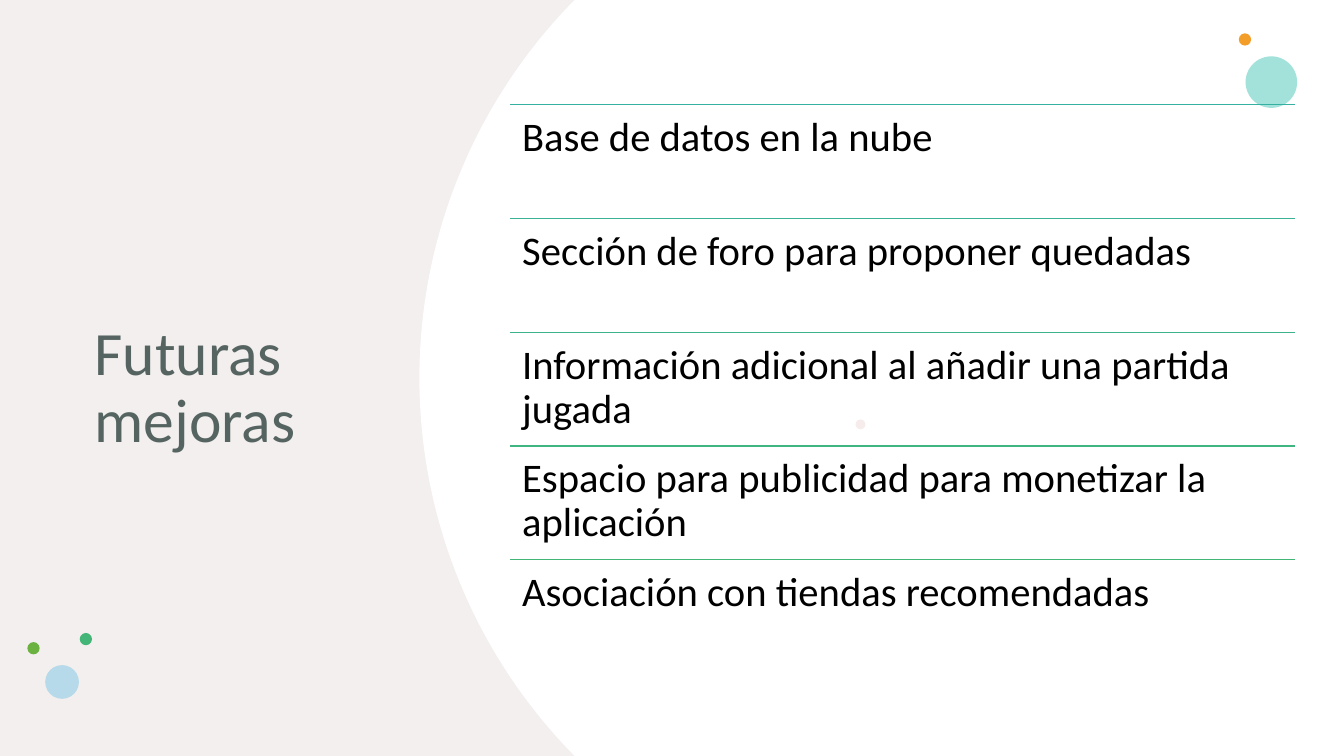
import math
from lxml import etree
from pptx import Presentation
from pptx.dml.color import RGBColor
from pptx.enum import shapes, text
from pptx.oxml import ns
from pptx.util import Cm, Pt

WHITE = RGBColor(0xFF, 0xFF, 0xFF)
BLACK = RGBColor(0x00, 0x00, 0x00)
SAND = RGBColor(0xD4, 0xCC, 0xC8)
TITLE_GREEN = RGBColor(0x20, 0x38, 0x35)
TURQUOISE = RGBColor(0x7F, 0xD8, 0xCC)
ORANGE = RGBColor(0xF3, 0x9E, 0x29)
PINK = RGBColor(0xE3, 0xBE, 0xBE)
GREEN = RGBColor(0x43, 0xB5, 0x77)
SKY = RGBColor(0xB6, 0xDA, 0xE9)
LEAF = RGBColor(0x6C, 0xB2, 0x41)

WIDTH, HEIGHT = 33.87, 19.05
FONT = "Calibri"

IMPROVEMENTS = [
    ("Base de datos en la nube", RGBColor(0x36, 0xB1, 0xA1)),
    ("Sección de foro para proponer quedadas", RGBColor(0x39, 0xB2, 0x96)),
    ("Información adicional al añadir una partida jugada", RGBColor(0x3C, 0xB3, 0x8B)),
    ("Espacio para publicidad para monetizar la aplicación", RGBColor(0x40, 0xB4, 0x81)),
    ("Asociación con tiendas recomendadas", GREEN),
]

DOTS = [
    (31.39, 1.42, 1.3, TURQUOISE, 72),
    (31.22, 0.84, 0.31, ORANGE, 100),
    (21.56, 10.57, 0.25, PINK, 28),
    (2.01, 15.95, 0.31, GREEN, 100),
    (1.14, 16.76, 0.85, SKY, 100),
    (0.69, 16.18, 0.31, LEAF, 100),
]


def paint(sp, color, opacity=100):
    sp.shadow.inherit = False
    sp.line.fill.background()
    sp.fill.solid()
    sp.fill.fore_color.rgb = color
    if opacity < 100:
        clr = sp.fill._xPr.find(".//" + ns.qn("a:srgbClr"))
        etree.SubElement(clr, ns.qn("a:alpha"), val=str(opacity * 1000))


def write(p, words, size, color):
    p.alignment = text.PP_ALIGN.LEFT
    p.line_spacing = 0.9
    r = p.add_run()
    r.text = words
    r.font.name = FONT
    r.font.size = Pt(size)
    r.font.color.rgb = color


def add_backdrop(s, x, y, w, h):
    panel = s.shapes.add_shape(shapes.MSO_SHAPE.RECTANGLE, Cm(x), Cm(y), Cm(w), Cm(h))
    paint(panel, SAND, 30)

    radius = 13.55
    center_x, center_y = x + 24.12, y + h / 2
    half_angle = math.asin(h / 2 / radius)
    steps = 80
    arc = []
    for i in range(steps + 1):
        angle = half_angle * (2 * i / steps - 1)
        arc.append((Cm(center_x - radius * math.cos(angle)),
                    Cm(center_y - radius * math.sin(angle))))
    builder = s.shapes.build_freeform(Cm(x + w), Cm(y))
    builder.add_line_segments([(Cm(x + w), Cm(y + h))] + arc, close=True)
    paint(builder.convert_to_shape(), WHITE)


def add_dots(s, x, y):
    for dx, dy, size, color, opacity in DOTS:
        dot = s.shapes.add_shape(shapes.MSO_SHAPE.OVAL,
                                 Cm(x + dx), Cm(y + dy), Cm(size), Cm(size))
        paint(dot, color, opacity)


def add_title(s, x, y, w, h):
    title = s.shapes.title
    title.left, title.top, title.width, title.height = Cm(x), Cm(y), Cm(w), Cm(h)
    tf = title.text_frame
    tf.word_wrap = True
    tf.auto_size = text.MSO_AUTO_SIZE.NONE
    tf.vertical_anchor = text.MSO_ANCHOR.MIDDLE
    write(tf.paragraphs[0], "Futuras mejoras", 44, TITLE_GREEN)


def add_improvements(s, x, y, w, h):
    row_h = h / len(IMPROVEMENTS)
    for i, (words, color) in enumerate(IMPROVEMENTS):
        top = y + i * row_h
        rule = s.shapes.add_connector(shapes.MSO_CONNECTOR.STRAIGHT,
                                      Cm(x), Cm(top), Cm(x + w), Cm(top))
        rule.line.color.rgb = color
        rule.line.width = Pt(1)
        etree.SubElement(rule._element.spPr, ns.qn("a:effectLst"))

        box = s.shapes.add_textbox(Cm(x), Cm(top), Cm(w), Cm(row_h))
        tf = box.text_frame
        tf.word_wrap = True
        tf.margin_left = tf.margin_right = tf.margin_top = tf.margin_bottom = Cm(0.3)
        write(tf.paragraphs[0], words, 29, BLACK)


def build_slide(prs):
    s = prs.slides.add_slide(prs.slide_layouts[5])
    s.background.fill.solid()
    s.background.fill.fore_color.rgb = WHITE
    add_backdrop(s, 0, 0, WIDTH, HEIGHT)
    add_dots(s, 0, 0)
    add_title(s, 2.13, 2.64, 7.95, 14.33)
    add_improvements(s, 12.86, 2.64, 19.77, 14.33)


def main():
    prs = Presentation()
    prs.slide_width, prs.slide_height = Cm(WIDTH), Cm(HEIGHT)
    build_slide(prs)
    prs.save("out.pptx")


if __name__ == "__main__":
    main()
